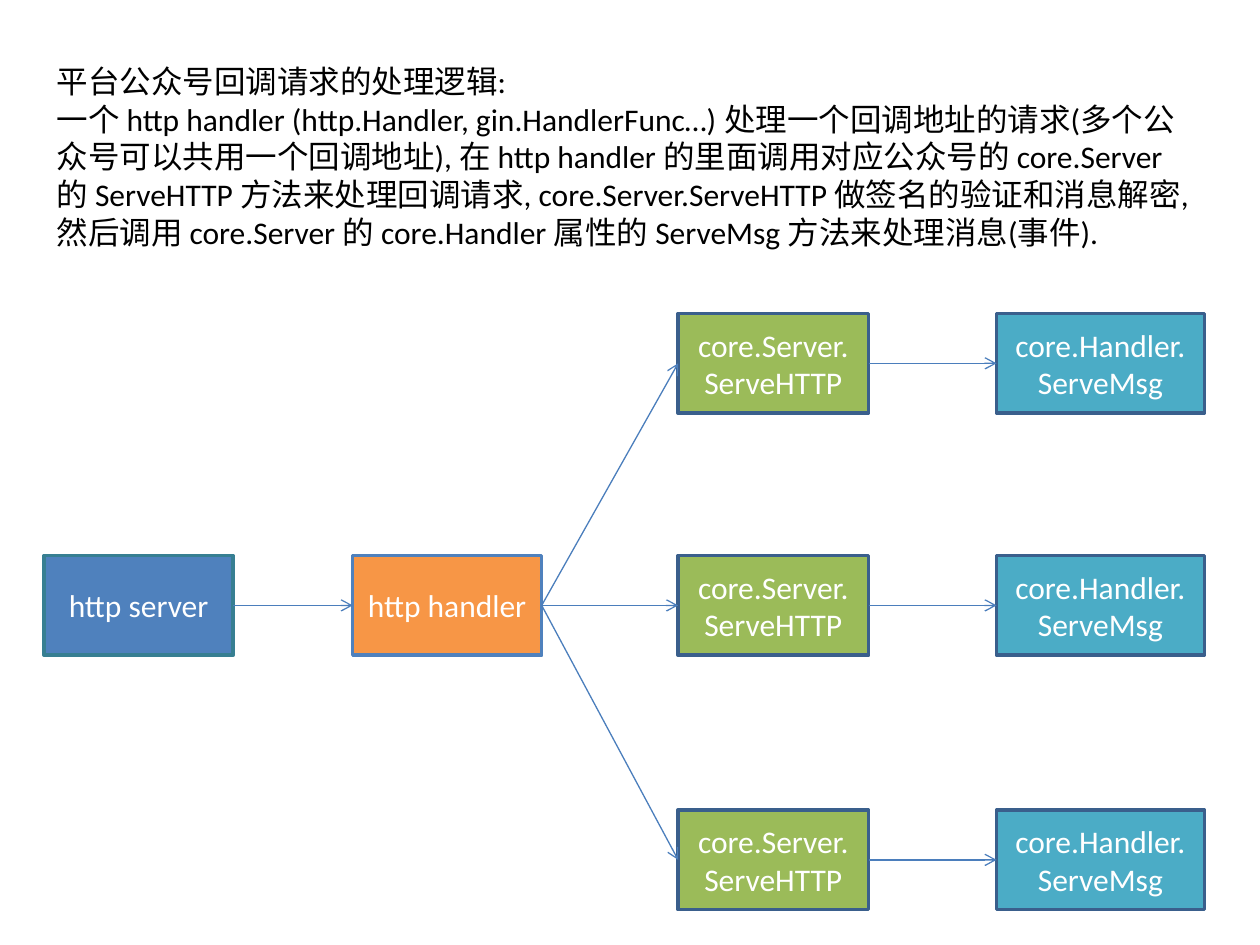
from lxml.etree import SubElement
from pptx import Presentation
from pptx.dml.color import RGBColor
from pptx.enum.shapes import MSO_CONNECTOR as Connector, MSO_SHAPE as Shape
from pptx.enum.text import MSO_ANCHOR as Anchor, MSO_AUTO_SIZE as AutoSize, PP_ALIGN as Align
from pptx.oxml.ns import qn
from pptx.util import Cm, Pt

# Content
EXPLANATION = [
    "平台公众号回调请求的处理逻辑:",
    "一个 http handler (http.Handler, gin.HandlerFunc…) 处理一个回调地址的请求"
    "(多个公众号可以共用一个回调地址), 在 http handler 的里面调用对应公众号的 "
    "core.Server 的 ServeHTTP 方法来处理回调请求, core.Server.ServeHTTP "
    "做签名的验证和消息解密,然后调用 core.Server 的 core.Handler 属性的 "
    "ServeMsg 方法来处理消息(事件).",
]
ROW_TOPS = {"upper": 6.32, "middle": 11.2, "lower": 16.33}
STAGES = {
    "http server": dict(lines=["http server"], left=0.89, width=3.81,
                        fill="4F81BD", border="377F92", rows=["middle"]),
    "http handler": dict(lines=["http handler"], left=7.11, width=3.81,
                         fill="F79646", border="4F81BD", rows=["middle"]),
    "core server": dict(lines=["core.Server.", "ServeHTTP"], left=13.67, width=3.84,
                        fill="9BBB59", border="3A5F8C", rows=list(ROW_TOPS)),
    "core handler": dict(lines=["core.Handler.", "ServeMsg"], left=20.09, width=4.19,
                         fill="4BACC6", border="3A5F8C", rows=list(ROW_TOPS)),
}
CALLS = [(("http server", "middle"), ("http handler", "middle"))]
for row in ROW_TOPS:
    CALLS += [(("http handler", "middle"), ("core server", row)),
              (("core server", row), ("core handler", row))]

# Format
STEP_HEIGHT = 2.01
ARROW_COLOUR = "4B7EBC"
FONT = {"name": "Calibri", "size": Pt(18)}
STEP_FRAME = {"word_wrap": True, "vertical_anchor": Anchor.MIDDLE}
EXPLANATION_FRAME = {"word_wrap": True, "auto_size": AutoSize.SHAPE_TO_FIT_TEXT}
LEFT, RIGHT = 1, 3


def colour(hex_value):
    return RGBColor.from_string(hex_value)


def apply(target, values):
    for key, value in values.items():
        setattr(target, key, value)


def write(frame, lines, frame_format, text_colour, align):
    apply(frame, frame_format)
    for index, line in enumerate(lines):
        paragraph = frame.paragraphs[0] if index == 0 else frame.add_paragraph()
        paragraph.alignment = align
        run = paragraph.add_run()
        run.text = line
        apply(run.font, FONT)
        run.font.color.rgb = colour(text_colour)


def add_step(slide, stage, top):
    step = slide.shapes.add_shape(Shape.FLOWCHART_PROCESS, Cm(stage["left"]), Cm(top),
                                  Cm(stage["width"]), Cm(STEP_HEIGHT))
    step.shadow.inherit = False
    step.fill.solid()
    step.fill.fore_color.rgb = colour(stage["fill"])
    step.line.color.rgb = colour(stage["border"])
    step.line.width = Pt(2)
    write(step.text_frame, stage["lines"], STEP_FRAME, "FFFFFF", Align.CENTER)
    return step


def add_call(slide, caller, callee):
    call = slide.shapes.add_connector(Connector.STRAIGHT, 0, 0, 0, 0)
    call.begin_connect(caller, RIGHT)
    call.end_connect(callee, LEFT)
    call.line.color.rgb = colour(ARROW_COLOUR)
    call.line.width = Pt(0.75)
    SubElement(call.line._get_or_add_ln(), qn("a:tailEnd"), type="arrow")
    SubElement(call._element.spPr, qn("a:effectLst"))


def main():
    deck = Presentation()
    deck.slide_width, deck.slide_height = Cm(25.4), Cm(19.05)
    slide = deck.slides.add_slide(deck.slide_layouts[6])

    # Explanation
    explanation = slide.shapes.add_textbox(Cm(0.89), Cm(1.12), Cm(23.39), Cm(4.11))
    write(explanation.text_frame, EXPLANATION, EXPLANATION_FRAME, "000000", Align.LEFT)

    # Steps of the request flow
    steps = {(name, row): add_step(slide, stage, ROW_TOPS[row])
             for name, stage in STAGES.items() for row in stage["rows"]}

    # Calls between steps
    for caller, callee in CALLS:
        add_call(slide, steps[caller], steps[callee])

    deck.save("out.pptx")


if __name__ == "__main__":
    main()
